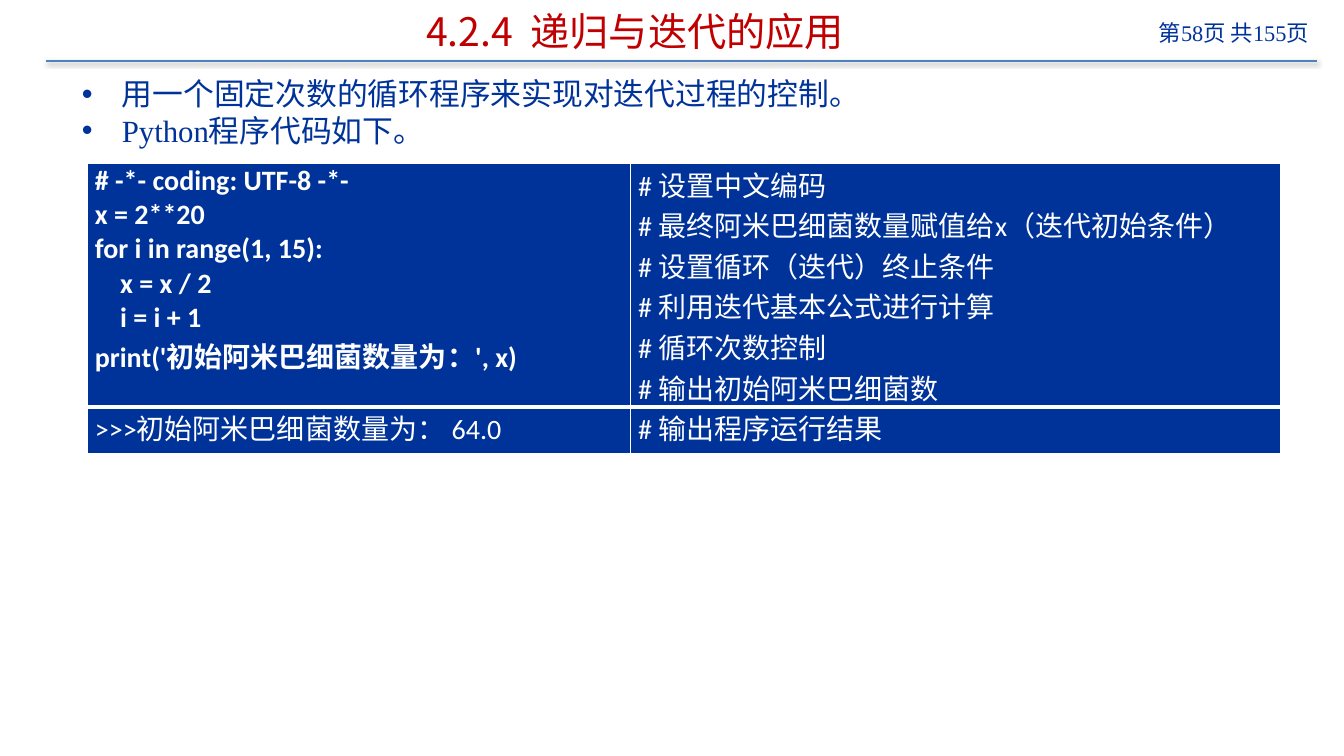
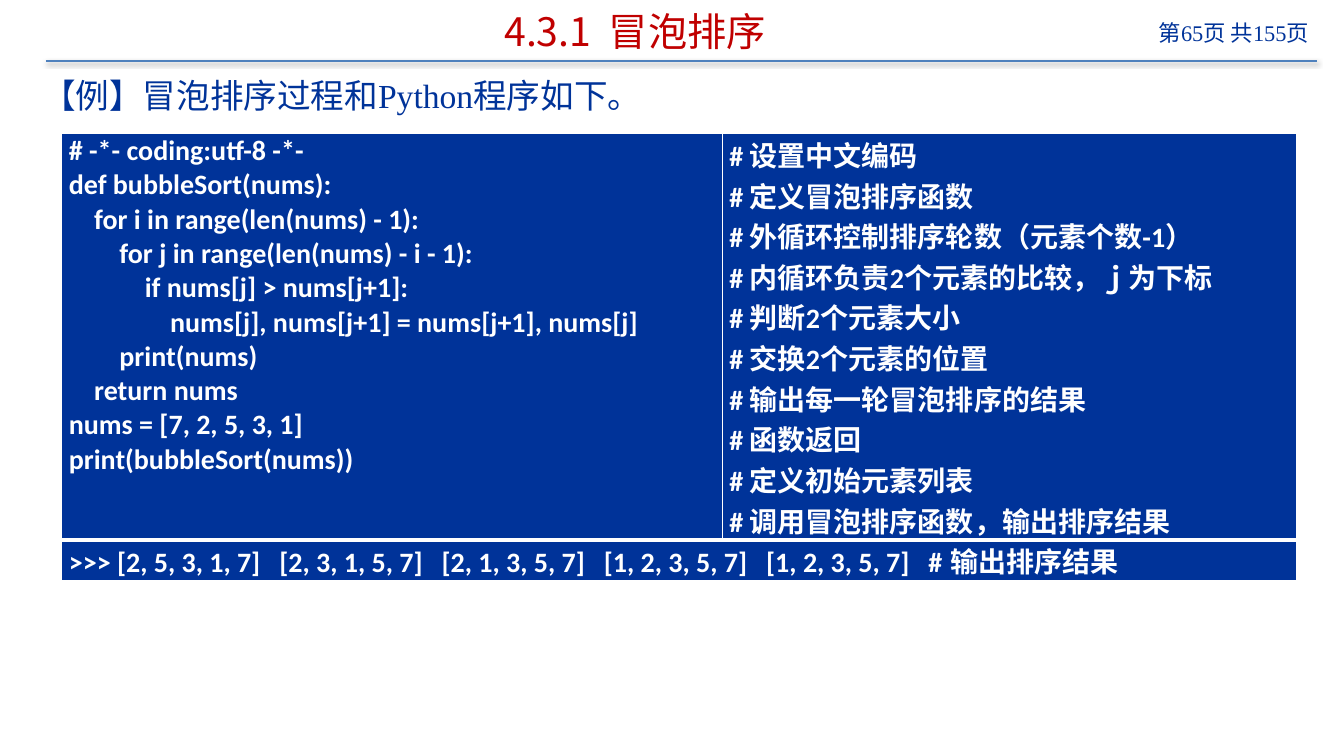
from lxml.etree import SubElement
from pptx import Presentation
from pptx.dml.color import RGBColor
from pptx.enum.shapes import MSO_CONNECTOR
from pptx.enum.text import MSO_ANCHOR, PP_ALIGN
from pptx.oxml import parse_xml
from pptx.oxml.ns import nsdecls, qn
from pptx.util import Pt

COLORS = {"navy": "003399", "red": "C00000", "rule": "4F81BD",
          "white": "FFFFFF", "black": "000000"}
SANS = "Noto Sans CJK SC"
SERIF = "Times New Roman"
CODE = "Calibri"
TOTAL = 155


class Deck:
    def __init__(self):
        self.prs = Presentation()
        self.prs.slide_width = Pt(960)
        self.prs.slide_height = Pt(540)
        self.slide = None

    def color(self, name):
        return RGBColor.from_string(COLORS[name])

    def start(self, title, page):
        self.slide = self.prs.slides.add_slide(self.prs.slide_layouts[6])
        self.rule()
        self.text([f"第{page}页 共{TOTAL}页"], (780, 9.5, 162, 32), 16, SERIF,
                  "navy", align=PP_ALIGN.RIGHT, pitch=20)
        self.text([title], (55.5, 2, 796, 40), 28, SANS, "red",
                  align=PP_ALIGN.CENTER, anchor=MSO_ANCHOR.MIDDLE)

    def rule(self):
        line = self.slide.shapes.add_connector(
            MSO_CONNECTOR.STRAIGHT, Pt(32.7), Pt(43.7), Pt(941), Pt(43.7))
        line.line.color.rgb = self.color("rule")
        line.line.width = Pt(1.75)
        line._element.spPr.append(parse_xml(
            f'<a:effectLst {nsdecls("a")}><a:outerShdw blurRad="{Pt(3.1)}" '
            f'dist="{Pt(1.6)}" dir="5400000" rotWithShape="0">'
            f'<a:srgbClr val="{COLORS["black"]}"><a:alpha val="38000"/>'
            '</a:srgbClr></a:outerShdw></a:effectLst>'))

    def style(self, para, size, face, color, bold=False):
        for run in para.runs:
            font = run.font
            font.size = Pt(size)
            font.bold = bold
            font.color.rgb = self.color(color)
            font.name = face
            SubElement(font._element, qn("a:ea")).set("typeface", SANS)

    def fill_text(self, frame, lines, align):
        frame.text = "\n".join(lines)
        for para in frame.paragraphs:
            para.alignment = align
        return frame.paragraphs

    def text(self, lines, box, size, face, color, align=PP_ALIGN.LEFT,
             anchor=MSO_ANCHOR.TOP, pitch=None, bullet=False):
        frame = self.slide.shapes.add_textbox(*map(Pt, box)).text_frame
        frame.word_wrap = True
        frame.vertical_anchor = anchor
        for para in self.fill_text(frame, lines, align):
            if bullet:
                props = para._p.get_or_add_pPr()
                props.set("marL", str(Pt(57)))
                props.set("indent", str(Pt(-28.5)))
                SubElement(props, qn("a:buFont")).set("typeface", "Arial")
                SubElement(props, qn("a:buChar")).set("char", "•")
            if pitch:
                para.line_spacing = Pt(pitch)
            self.style(para, size, face, color)

    def body(self, lines, size, pitch, bullet=False):
        self.text(lines, (23, 50.5, 917, 472), size, SERIF, "navy",
                  pitch=pitch, bullet=bullet)

    def edges(self, cell, widths):
        props = cell._tc.get_or_add_tcPr()
        for spot, (side, width) in enumerate(zip("LRTB", widths)):
            props.insert(spot, parse_xml(
                f'<a:ln{side} {nsdecls("a")} w="{Pt(width)}"><a:solidFill>'
                f'<a:srgbClr val="{COLORS["white"]}"/></a:solidFill></a:ln{side}>'))

    def table(self, left, top, cols, rows, cells, bold, merge=False):
        grid = self.slide.shapes.add_table(
            len(rows), len(cols), Pt(left), Pt(top),
            Pt(sum(cols)), Pt(sum(rows))).table
        grid.first_row = grid.horz_banding = False
        for col, width in zip(grid.columns, cols):
            col.width = Pt(width)
        for row, height in zip(grid.rows, rows):
            row.height = Pt(height)
        if merge:
            grid.cell(1, 0).merge(grid.cell(1, 1))
        for r in range(len(rows)):
            for c in range(len(cols)):
                cell = grid.cell(r, c)
                cell.fill.solid()
                cell.fill.fore_color.rgb = self.color("navy")
                self.edges(cell, (1, 1, 1, 3) if r == 0 else (1, 1, 3, 1))
                if cell.is_spanned:
                    continue
                cell.margin_left = cell.margin_right = Pt(5.2)
                cell.margin_top = cell.margin_bottom = Pt(0)
                for para in self.fill_text(cell.text_frame, cells[r][c],
                                           PP_ALIGN.JUSTIFY):
                    self.style(para, 20, CODE, "white", bold[r][c])


def main():
    deck = Deck()

    deck.start("4.2.4  递归与迭代的应用", 58)
    deck.body(["用一个固定次数的循环程序来实现对迭代过程的控制。",
               "Python程序代码如下。"], 22, 26, bullet=True)
    code = ["# -*- coding: UTF-8 -*-",
            "x = 2**20",
            "for i in range(1, 15):",
            "    x = x / 2",
            "    i = i + 1",
            "print('初始阿米巴细菌数量为：', x)"]
    notes = ["# 设置中文编码",
             "# 最终阿米巴细菌数量赋值给x（迭代初始条件）",
             "# 设置循环（迭代）终止条件",
             "# 利用迭代基本公式进行计算",
             "# 循环次数控制",
             "# 输出初始阿米巴细菌数"]
    deck.table(62.6, 116.8, (388, 464), (174, 33),
               [[code, notes],
                [[">>>初始阿米巴细菌数量为： 64.0"], ["# 输出程序运行结果"]]],
               [[True, False], [False, False]])

    deck.start("4.3.1  冒泡排序", 65)
    deck.body(["【例】冒泡排序过程和Python程序如下。"], 24, 28)
    code = ["# -*- coding:utf-8 -*-",
            "def bubbleSort(nums):",
            "    for i in range(len(nums) - 1):",
            "        for j in range(len(nums) - i - 1):",
            "            if nums[j] > nums[j+1]:",
            "                nums[j], nums[j+1] = nums[j+1], nums[j]",
            "        print(nums)",
            "    return nums",
            "nums = [7, 2, 5, 3, 1]",
            "print(bubbleSort(nums))"]
    notes = ["# 设置中文编码",
             "# 定义冒泡排序函数",
             "# 外循环控制排序轮数（元素个数-1）",
             "# 内循环负责2个元素的比较，ｊ为下标",
             "# 判断2个元素大小",
             "# 交换2个元素的位置",
             "# 输出每一轮冒泡排序的结果",
             "# 函数返回",
             "# 定义初始元素列表",
             "# 调用冒泡排序函数，输出排序结果"]
    result = (">>> [2, 5, 3, 1, 7]   [2, 3, 1, 5, 7]   [2, 1, 3, 5, 7]   "
              "[1, 2, 3, 5, 7]   [1, 2, 3, 5, 7]   # 输出排序结果")
    deck.table(44, 95.6, (471.8, 410.2), (290, 29),
               [[code, notes], [[result]]],
               [[True, True], [True]], merge=True)

    deck.prs.save("out.pptx")


if __name__ == "__main__":
    main()
